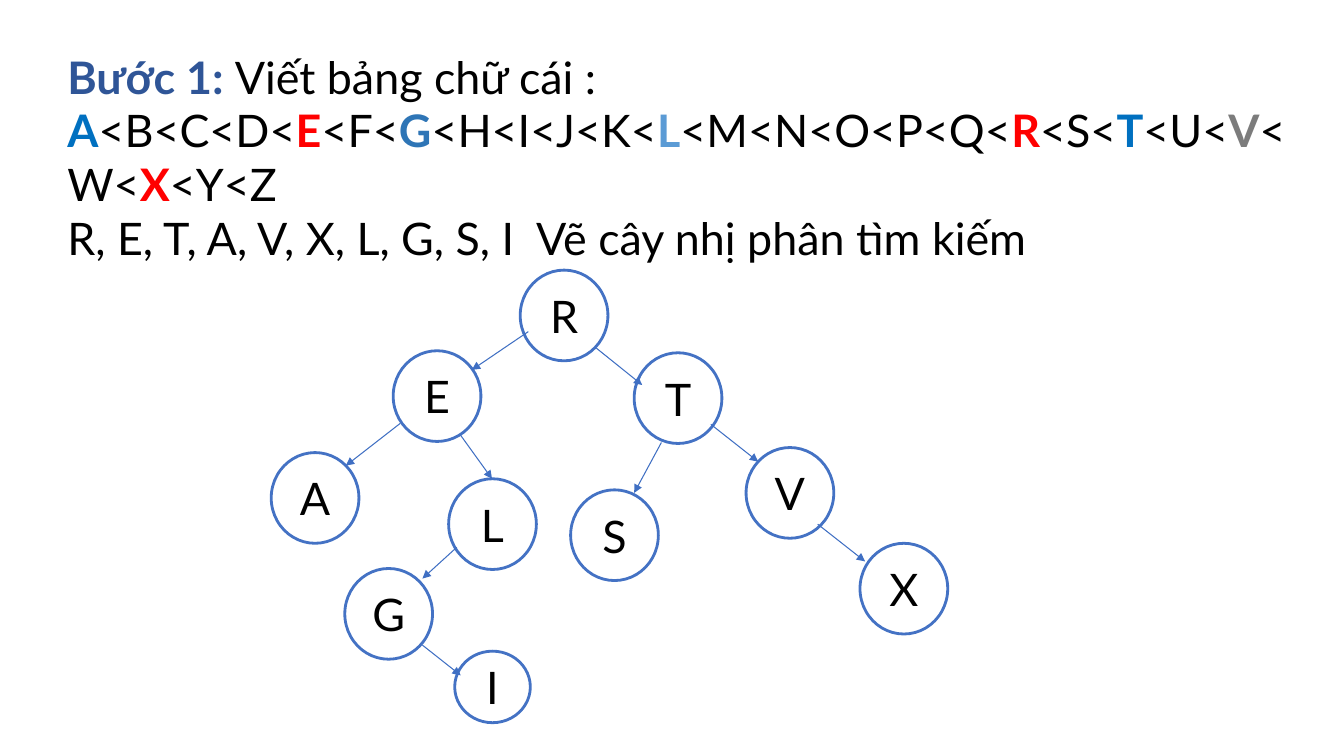
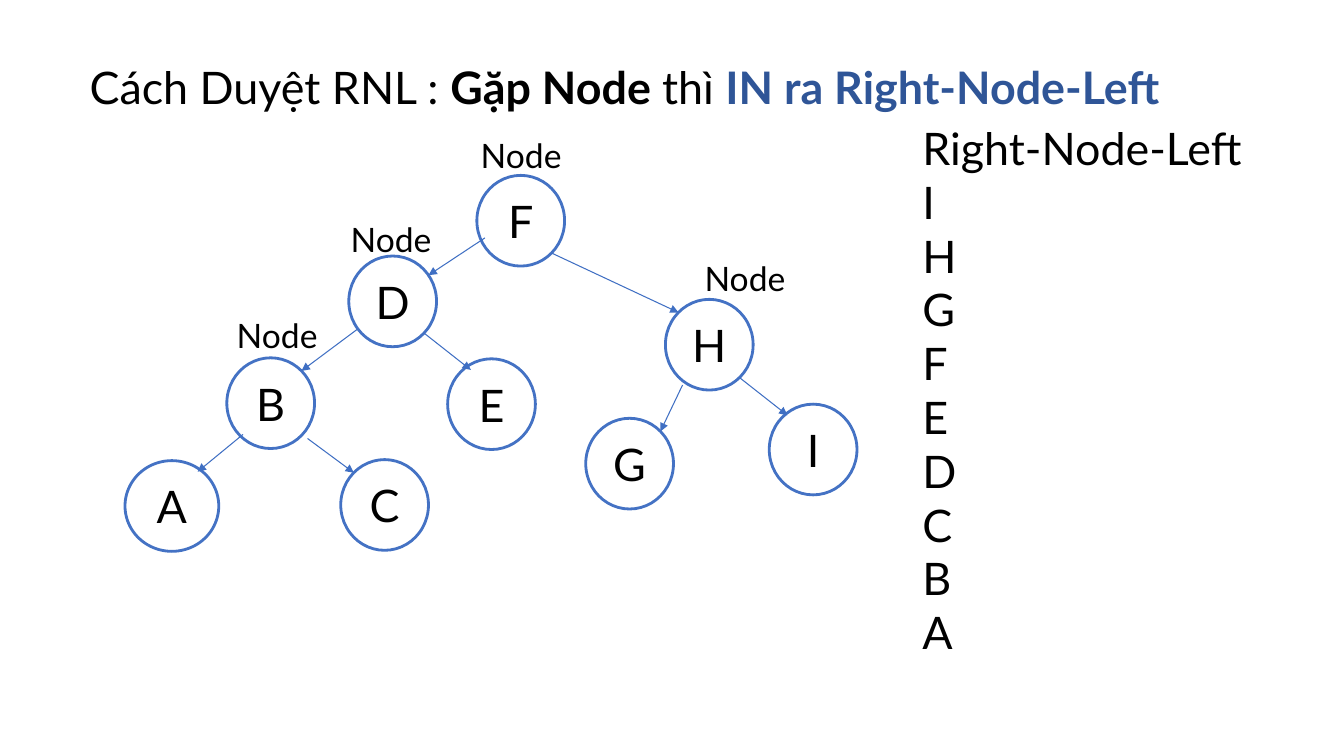
from lxml import etree
from pptx import Presentation
from pptx import util as u
from pptx.dml.color import RGBColor
from pptx.enum import shapes, text
from pptx.oxml.ns import qn

PX = 9144  # 100 px to the inch
FONT = "Lato"
BLACK = RGBColor(0x00, 0x00, 0x00)
WHITE = RGBColor(0xFF, 0xFF, 0xFF)
NAVY = RGBColor(0x2F, 0x55, 0x97)
OUTLINE = RGBColor(0x44, 0x72, 0xC4)
ARROW = RGBColor(0x3F, 0x6F, 0xC3)
RED = RGBColor(0xFF, 0x00, 0x00)
BLUE = RGBColor(0x00, 0x70, 0xC0)
STEEL = RGBColor(0x2E, 0x75, 0xB6)
SKY = RGBColor(0x5B, 0x9B, 0xD5)
GREY = RGBColor(0x7C, 0x7C, 0x7C)

NODE_W, NODE_H = 87, 90
LETTER_SIZE, LABEL_SIZE = 32, 24


def add_runs(p, runs, size):
    """Each run is (text, colour, bold)."""
    for words, colour, bold in runs:
        r = p.add_run()
        r.text = words
        for name, value in {"name": FONT, "size": u.Pt(size), "bold": bold}.items():
            setattr(r.font, name, value)
        r.font.color.rgb = colour


def add_text(s, box, paragraphs, size=LETTER_SIZE):
    tf = s.shapes.add_textbox(*(v * PX for v in box)).text_frame
    for name, value in {"word_wrap": True,
                        "auto_size": text.MSO_AUTO_SIZE.SHAPE_TO_FIT_TEXT}.items():
        setattr(tf, name, value)
    for i, runs in enumerate(paragraphs):
        p = tf.add_paragraph() if i else tf.paragraphs[0]
        add_runs(p, runs, size)
    return tf


prs = Presentation()
prs.slide_width, prs.slide_height = 1333 * PX, 750 * PX
build, traverse = (prs.slides.add_slide(prs.slide_layouts[6]) for _ in range(2))

# Slide 1: alphabet with the tree's letters highlighted
highlights = {"A": BLUE, "E": RED, "G": STEEL, "L": SKY, "R": RED,
              "T": BLUE, "V": GREY, "X": RED}
alphabet, plain = [], ""
for letter in "ABCDEFGHIJKLMNOPQRSTUVWXYZ":
    if letter in highlights:
        if plain:
            alphabet.append((plain, BLACK, False))
        alphabet.append((letter, highlights[letter], True))
        plain = ""
    else:
        plain += letter
    if letter != "Z":
        plain += "<"
alphabet.append((plain, BLACK, False))

tf = add_text(build, (57, 44, 1240, 226), [
    [("Bước 1: ", NAVY, True), ("Viết bảng chữ cái :", BLACK, False)],
    alphabet,
    [("R, E, T, A, V, X, L, G, S, I\tVẽ cây nhị phân tìm kiếm", BLACK, False)],
])
tabs = etree.SubElement(tf.paragraphs[2]._p.get_or_add_pPr(), qn("a:tabLst"))
etree.SubElement(tabs, qn("a:tab"), pos=str(465 * PX), algn="l")

# Slide 2: heading and traversal order
add_text(traverse, (79, 54, 1219, 64), [
    [("Cách Duyệt RNL : ", BLACK, False), ("Gặp Node ", BLACK, True),
     ("thì ", BLACK, False), ("IN ra Right-Node-Left", NAVY, True)],
])
add_text(traverse, (905, 115, 420, 544),
         [[(line, BLACK, False)] for line in ["Right-Node-Left", *"IHGFEDCBA"]])

# Trees: nodes as letter: (left, top[, width, height]), arrows as (x1, y1, x2, y2)
trees = [
    (build,
     {"R": (516, 268), "E": (390, 348), "T": (629, 350), "A": (269, 449),
      "L": (445, 475), "S": (566, 486), "V": (740, 444), "G": (342, 564),
      "X": (853, 539), "I": (451, 646, 75, 71)},
     [(524, 329, 468, 367), (591, 345, 637, 382), (397, 420, 343, 462),
      (457, 432, 488, 475), (656, 439, 629, 489), (705, 421, 752, 458),
      (453, 543, 419, 574), (811, 520, 858, 557), (419, 640, 457, 670)]),
    (traverse,
     {"F": (473, 174), "D": (346, 254), "H": (660, 297), "B": (225, 355),
      "E": (444, 356), "G": (581, 415), "I": (763, 401),
      "A": (124, 457, 93, 90), "C": (338, 456)},
     [(481, 236, 425, 273), (547, 251, 673, 310), (354, 327, 299, 368),
      (420, 330, 467, 367), (677, 382, 655, 428), (734, 375, 781, 412),
      (241, 431, 196, 468), (305, 435, 351, 469)]),
]
for s, nodes, arrows in trees:
    for letter, (x, y, *size) in nodes.items():
        w, h = size or (NODE_W, NODE_H)
        sp = s.shapes.add_shape(shapes.MSO_SHAPE.OVAL, x * PX, y * PX, w * PX, h * PX)
        sp.shadow.inherit = False
        sp.fill.solid()
        sp.fill.fore_color.rgb = WHITE
        sp.line.color.rgb = OUTLINE
        sp.line.width = u.Pt(2)
        tf = sp.text_frame
        tf.vertical_anchor = text.MSO_ANCHOR.MIDDLE
        p = tf.paragraphs[0]
        p.alignment = text.PP_ALIGN.CENTER
        add_runs(p, [(letter, BLACK, False)], LETTER_SIZE)
    for ends in arrows:
        arrow = s.shapes.add_connector(shapes.MSO_CONNECTOR.STRAIGHT,
                                       *(v * PX for v in ends))
        arrow.line.color.rgb = ARROW
        arrow.line.width = u.Pt(0.75)
        etree.SubElement(arrow.line._get_or_add_ln(), qn("a:tailEnd"), type="triangle")
        etree.SubElement(arrow._element.spPr, qn("a:effectLst"))

# Labels over the inner nodes of slide 2
for x, y in [(467, 129), (338, 212), (225, 308), (689, 251)]:
    add_text(traverse, (x, y, 120, 50), [[("Node", BLACK, False)]], LABEL_SIZE)

prs.save("out.pptx")
